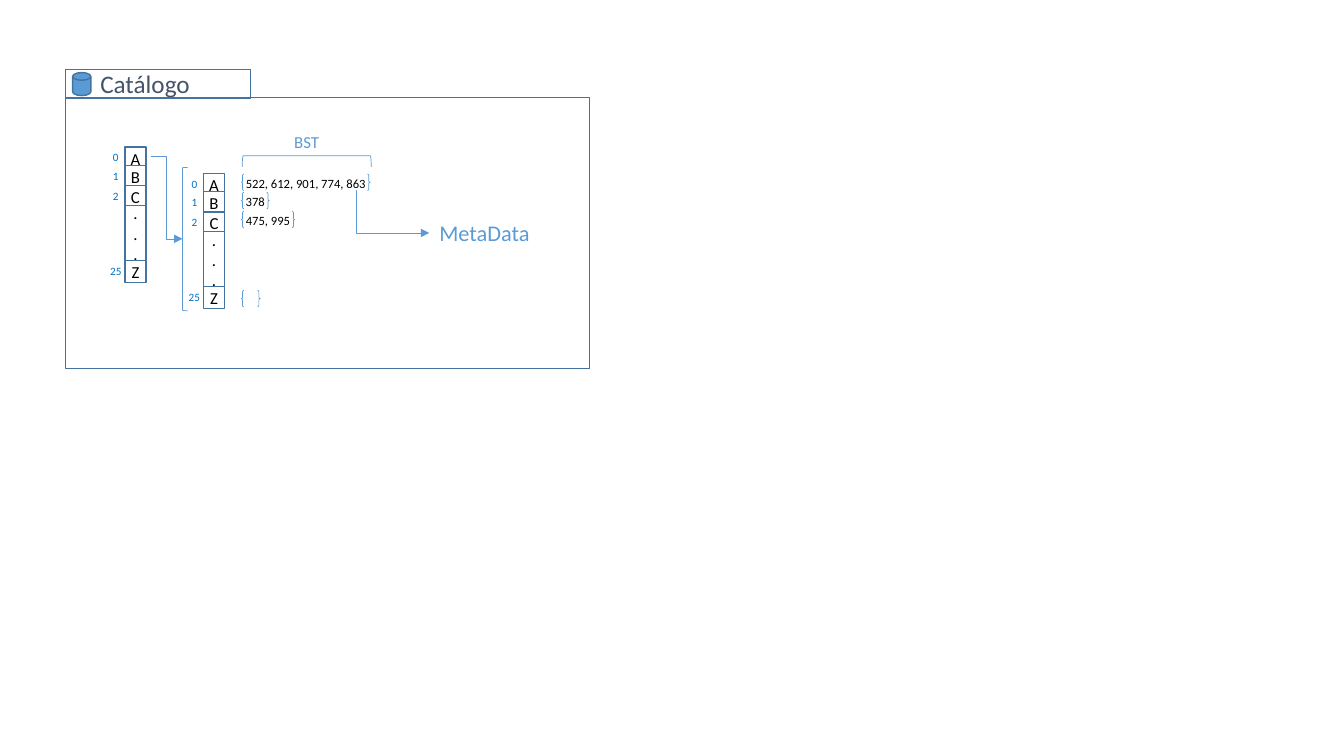
from dataclasses import dataclass

from lxml import etree
from pptx import Presentation
from pptx.dml.color import RGBColor
from pptx.enum.shapes import MSO_CONNECTOR, MSO_SHAPE
from pptx.enum.text import MSO_ANCHOR, MSO_AUTO_SIZE, PP_ALIGN
from pptx.oxml.ns import qn
from pptx.util import Cm, Pt

RECT = MSO_SHAPE.RECTANGLE
DISK = MSO_SHAPE.FLOWCHART_MAGNETIC_DISK
BRACE = MSO_SHAPE.DOUBLE_BRACE
BRACKET = MSO_SHAPE.LEFT_BRACKET
ELBOW = MSO_CONNECTOR.ELBOW
CENTER = PP_ALIGN.CENTER
MIDDLE = MSO_ANCHOR.MIDDLE
FIXED = MSO_AUTO_SIZE.NONE


@dataclass(frozen=True)
class Theme:
    """Colours, type sizes and line widths of the slide."""
    font: str = "Calibri"
    white: str = "FFFFFF"
    black: str = "000000"
    blue: str = "5B9BD5"
    edge: str = "43739E"
    index: str = "0070C0"
    slate: str = "44546A"
    title: int = 18
    big: int = 16
    body: int = 12
    list: int = 9
    small: int = 8
    thick: float = 1
    thin: float = 0.5


LOOK = Theme()
CELLS = (
    ("0", "A", 0, 0.56),
    ("1", "B", 0.46, 0.56),
    ("2", "C", 0.97, 0.56),
    ("", ".\n.\n.", 1.47, 1.4),
    ("25", "Z", 2.85, 0.56),
)
SETS = (
    ("522, 612, 901, 774, 863", 4.39, 3.25),
    ("378", 4.85, 0.71),
    ("475, 995", 5.33, 1.35),
    ("", 7.32, 0.48),
)


def write(shape, text, size, color, wrap=False):
    """Put centred text without insets in a shape."""
    frame = shape.text_frame
    frame.auto_size = FIXED
    frame.word_wrap = wrap
    frame.vertical_anchor = MIDDLE
    frame.margin_left = frame.margin_right = 0
    frame.margin_top = frame.margin_bottom = 0
    para = frame.paragraphs[0]
    para.text = text
    para.alignment = CENTER
    para.font.name = LOOK.font
    para.font.size = Pt(size)
    para.font.color.rgb = RGBColor.from_string(color)


def label(slide, box, text, size, color):
    """Add a text box."""
    write(slide.shapes.add_textbox(*map(Cm, box)), text, size, color, True)


def draw(slide, kind, box, edge, width, fill=None):
    """Add an outlined preset shape."""
    shape = slide.shapes.add_shape(kind, *map(Cm, box))
    shape.shadow.inherit = False
    if fill:
        shape.fill.solid()
        shape.fill.fore_color.rgb = RGBColor.from_string(fill)
    else:
        shape.fill.background()
    shape.line.color.rgb = RGBColor.from_string(edge)
    shape.line.width = Pt(width)
    return shape


def arrow(slide, ends, bend=50000):
    """Add an elbow arrow that turns at the given share of its width."""
    link = slide.shapes.add_connector(ELBOW, *map(Cm, ends))
    link.line.color.rgb = RGBColor.from_string(LOOK.blue)
    link.line.width = Pt(LOOK.thin)
    props = link.element.spPr
    etree.SubElement(props.find(qn("a:ln")), qn("a:tailEnd"), type="triangle")
    etree.SubElement(props, qn("a:effectLst"))
    turns = props.find(qn("a:prstGeom")).find(qn("a:avLst"))
    etree.SubElement(turns, qn("a:gd"), name="adj1", fmla=f"val {bend}")


def column(slide, left, top):
    """Add an indexed array from A to Z."""
    for index, text, drop, height in CELLS:
        box = (left, top + drop, 0.53, height)
        cell = draw(slide, RECT, box, LOOK.edge, LOOK.thick, LOOK.white)
        write(cell, text, LOOK.body, LOOK.black)
        if index:
            spot = (left - 0.56, top + drop - 0.02, 0.66, height)
            label(slide, spot, index, LOOK.small, LOOK.index)


def sets(slide):
    """Add the number sets in braces."""
    for text, top, width in SETS:
        box = (6.08, top, width, 0.41)
        brace = draw(slide, BRACE, box, LOOK.blue, LOOK.thin)
        if text:
            write(brace, text, LOOK.list, LOOK.black)


def folder(slide):
    """Add the catalogue folder with its titled tab."""
    draw(slide, RECT, (1.65, 2.46, 13.21, 6.83), LOOK.edge, LOOK.thick)
    draw(slide, RECT, (1.65, 1.75, 4.67, 0.74), LOOK.edge, LOOK.thick)
    disk = (1.83, 1.83, 0.46, 0.58)
    draw(slide, DISK, disk, LOOK.edge, LOOK.thick, LOOK.blue)
    title = slide.shapes.title
    title.left, title.top = Cm(2.26), Cm(1.6)
    title.width, title.height = Cm(2.79), Cm(1.02)
    write(title, "Catálogo", LOOK.title, LOOK.slate)


def main():
    """Build and save the slide."""
    deck = Presentation()
    deck.slide_width, deck.slide_height = Cm(33.87), Cm(19.05)
    slide = deck.slides.add_slide(deck.slide_layouts[5])
    folder(slide)
    column(slide, 3.15, 3.71)
    column(slide, 5.13, 4.37)
    draw(slide, BRACKET, (4.6, 4.22, 0.13, 3.61), LOOK.blue, LOOK.thin)
    arrow(slide, (3.81, 3.94, 4.6, 6.02))
    sets(slide)
    top = draw(slide, BRACKET, (7.59, 2.44, 0.28, 3.25), LOOK.blue, LOOK.thin)
    top.rotation = 90
    label(slide, (7.16, 3.2, 1.14, 0.76), "BST", LOOK.body, LOOK.blue)
    arrow(slide, (8.97, 4.8, 10.82, 5.87), 600)
    label(slide, (10.8, 5.38, 2.82, 0.94), "MetaData", LOOK.big, LOOK.blue)
    deck.save("out.pptx")


if __name__ == "__main__":
    main()
